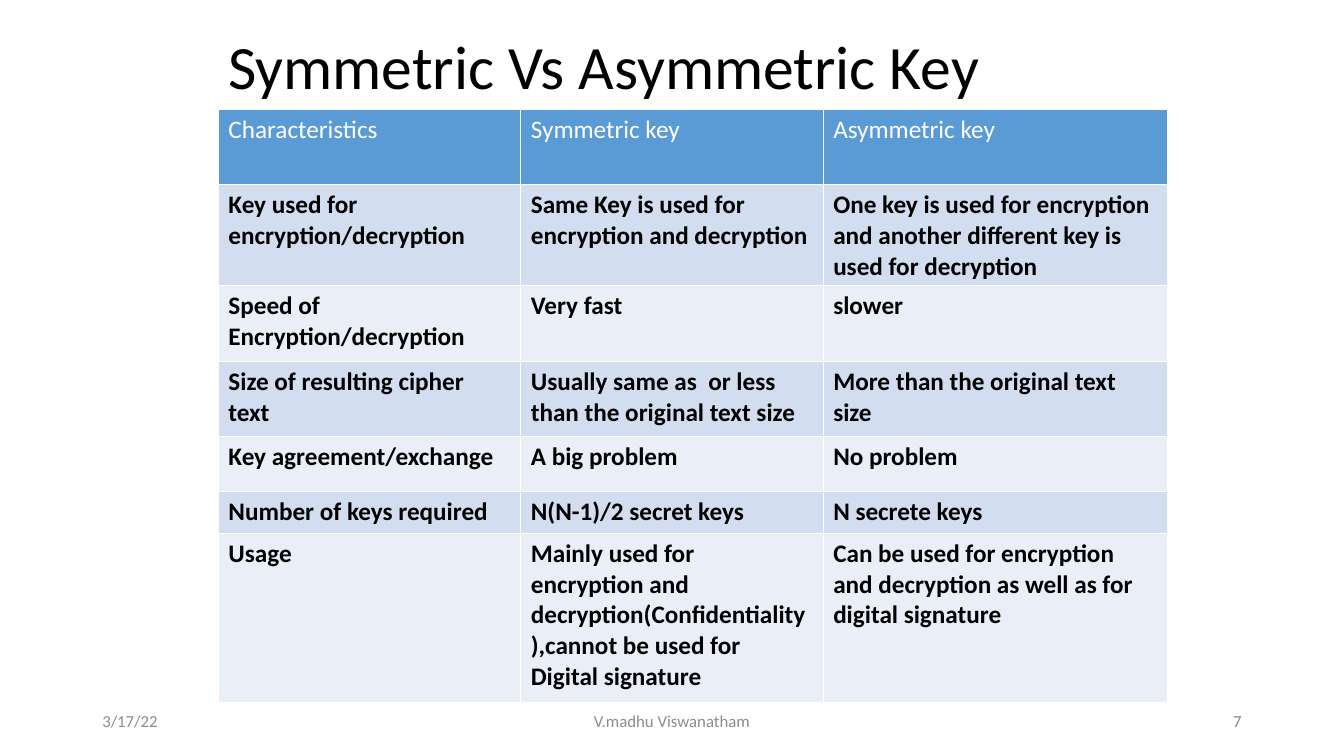
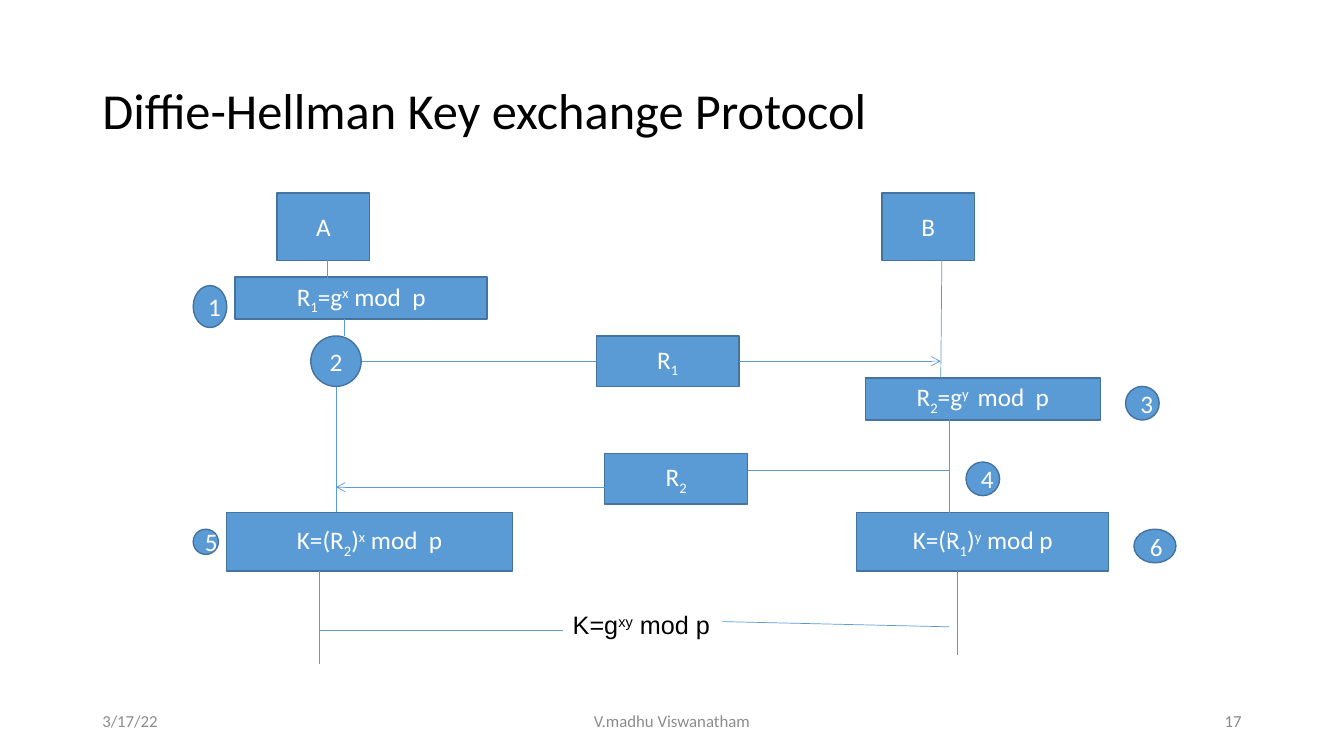
from pptx import Presentation
from pptx.dml.color import RGBColor
from pptx.enum.shapes import MSO_CONNECTOR, MSO_SHAPE
from pptx.enum.text import MSO_ANCHOR, PP_ALIGN
from pptx.oxml.ns import qn
from pptx.util import Emu, Pt
from lxml.etree import SubElement

# Shared style: 96 px to the inch
SCALE = 9525
FONT = "Calibri"
BLUE, EDGE = "5B9BD5", "43739E"
WHITE, BLACK = "FFFFFF", "000000"
BANDS = ("EAEFF7", "D2DEEF")
GREY, DARK = "8C8C8C", "898989"
LEFT, CENTER, RIGHT = PP_ALIGN.LEFT, PP_ALIGN.CENTER, PP_ALIGN.RIGHT
RAISE = {"_": "-25000", "^": "30000"}

# Table content
COLS = (288, 288, 328)
ROWS = (72, 96, 72, 72, 52, 40, 161)
CELLS = (
    ("Characteristics", "Symmetric key", "Asymmetric key"),
    ("Key used for encryption/decryption",
     "Same Key is used for encryption and decryption",
     "One key is used for encryption and another different key is used "
     "for decryption"),
    ("Speed of Encryption/decryption", "Very fast", "slower"),
    ("Size of resulting cipher text",
     "Usually same as  or less than the original text size",
     "More than the original text size"),
    ("Key agreement/exchange", "A big problem", "No problem"),
    ("Number of keys required", "N(N-1)/2 secret keys", "N secrete keys"),
    ("Usage",
     "Mainly used for encryption and decryption(Confidentiality),cannot be "
     "used for Digital signature",
     "Can be used for encryption and decryption as well as for digital "
     "signature"),
)

# Protocol content: "|" parts runs, "_" lowers a run, "^" raises it
BOXES = (
    ("A", 264, 184, 88, 64),
    ("R|_1|=g|^x| mod  p", 224, 264, 240, 40),
    ("K=(R|_2|)|^x| mod  p", 216, 488, 272, 56),
    ("B", 840, 184, 88, 64),
    ("R|_2|=g|^y | mod  p", 824, 360, 224, 40),
    ("K=(R|_1|)|^y| mod p", 816, 488, 240, 56),
    ("R|_1", 568, 320, 136, 48),
    ("R|_2", 576, 432, 136, 48),
)
STEPS = (
    ("1", 184, 272, 32, 40),
    ("2", 296, 320, 48, 48),
    ("3", 1072, 368, 32, 32),
    ("4", 920, 440, 32, 32),
    ("5", 184, 504, 24, 24),
    ("6", 1080, 504, 40, 32),
)
LINES = (
    # Lifeline of A
    (312, 248, 312, 280), (328, 304, 328, 320),
    (320, 368, 320, 488), (304, 544, 304, 632),
    # Lifeline of B
    (897, 248, 896, 360), (904, 392, 904, 512), (912, 544, 912, 624),
    # Message parts without heads, then the shared key
    (344, 344, 568, 344), (712, 448, 904, 448),
    (304, 600, 536, 600), (688, 592, 904, 597),
)
ARROWS = ((704, 344, 896, 344), (576, 464, 320, 464))


def px(*nums):
    return [Emu(n * SCALE) for n in nums]


def tint(code):
    return RGBColor.from_string(code)


def style(frame, size, color, align=LEFT, font=FONT, bold=False):
    for para in frame.paragraphs:
        para.alignment = align
        for run in para.runs:
            face = run.font
            face.size, face.name, face.bold = Pt(size), font, bold
            face.color.rgb = tint(color)


def write(frame, text):
    """Fill the first paragraph with plain, lowered and raised runs."""
    first, *rest = text.split("|")
    para = frame.paragraphs[0]
    para.text = first
    for part in rest:
        run = para.add_run()
        run.text = part.lstrip("_^")
        if part[0] in RAISE:
            run._r.get_or_add_rPr().set("baseline", RAISE[part[0]])


def label(slide, text, box, size, color, align=LEFT, font=FONT,
          anchor=MSO_ANCHOR.MIDDLE):
    frame = slide.shapes.add_textbox(*px(*box)).text_frame
    frame.word_wrap = True
    frame.vertical_anchor = anchor
    write(frame, text)
    style(frame, size, color, align, font)
    return frame


def title(slide, text, box, size):
    frame = label(slide, text, box, size, BLACK)
    frame.paragraphs[0].line_spacing = 0.9


def footer(slide, page):
    label(slide, "3/17/22", (88, 667, 288, 38), 12, GREY)
    label(slide, "V.madhu Viswanatham", (424, 667, 432, 38), 12, GREY, CENTER)
    label(slide, page, (904, 667, 288, 38), 12, DARK, RIGHT)


def node(slide, kind, text, *box):
    shape = slide.shapes.add_shape(kind, *px(*box))
    shape.shadow.inherit = False
    shape.fill.solid()
    shape.fill.fore_color.rgb = tint(BLUE)
    shape.line.color.rgb = tint(EDGE)
    shape.line.width = Pt(1)
    frame = shape.text_frame
    frame.word_wrap = True
    frame.vertical_anchor = MSO_ANCHOR.MIDDLE
    write(frame, text)
    style(frame, 18, WHITE, CENTER)


def link(slide, ends, head=False):
    wire = slide.shapes.add_connector(MSO_CONNECTOR.STRAIGHT, *px(*ends))
    wire.line.color.rgb = tint(BLUE)
    wire.line.width = Pt(0.5)
    props = wire._element.spPr
    if head:
        SubElement(props.find(qn("a:ln")), qn("a:tailEnd"), type="arrow")
    SubElement(props, qn("a:effectLst"))


def border(cell):
    props = cell._tc.get_or_add_tcPr()
    for side in ("lnL", "lnR", "lnT", "lnB"):
        edge = SubElement(props, qn("a:" + side), w=str(Pt(1)))
        fill = SubElement(edge, qn("a:solidFill"))
        SubElement(fill, qn("a:srgbClr"), val=WHITE)


def grid(slide, left, top):
    box = px(left, top, sum(COLS), sum(ROWS))
    table = slide.shapes.add_table(len(ROWS), len(COLS), *box).table
    table.first_row = table.horz_banding = False
    for col, width in zip(table.columns, px(*COLS)):
        col.width = width
    for row, height in zip(table.rows, px(*ROWS)):
        row.height = height
    for r, texts in enumerate(CELLS):
        for c, text in enumerate(texts):
            cell = table.cell(r, c)
            border(cell)
            cell.fill.solid()
            cell.fill.fore_color.rgb = tint(BANDS[r % 2] if r else BLUE)
            cell.text_frame.text = text
            style(cell.text_frame, 18, BLACK if r else WHITE, bold=r > 0)


def compare(slide):
    title(slide, "Symmetric Vs Asymmetric Key", (208, 29, 864, 75), 44)
    grid(slide, 208, 104)
    footer(slide, "7")


def exchange(slide):
    title(slide, "Diffie-Hellman Key exchange Protocol",
          (88, 38, 1104, 139), 36)
    footer(slide, "17")
    for box in BOXES:
        node(slide, MSO_SHAPE.RECTANGLE, *box)
    for ends in LINES:
        link(slide, ends)
    for ends in ARROWS:
        link(slide, ends, head=True)
    for step in STEPS:
        node(slide, MSO_SHAPE.OVAL, *step)
    label(slide, "K=g|^xy| mod p", (536, 576, 160, 38), 18, BLACK,
          font="Arial", anchor=MSO_ANCHOR.TOP)


def main():
    deck = Presentation()
    deck.slide_width, deck.slide_height = px(1280, 720)
    for build in (compare, exchange):
        build(deck.slides.add_slide(deck.slide_layouts[6]))
    deck.save("out.pptx")


if __name__ == "__main__":
    main()
